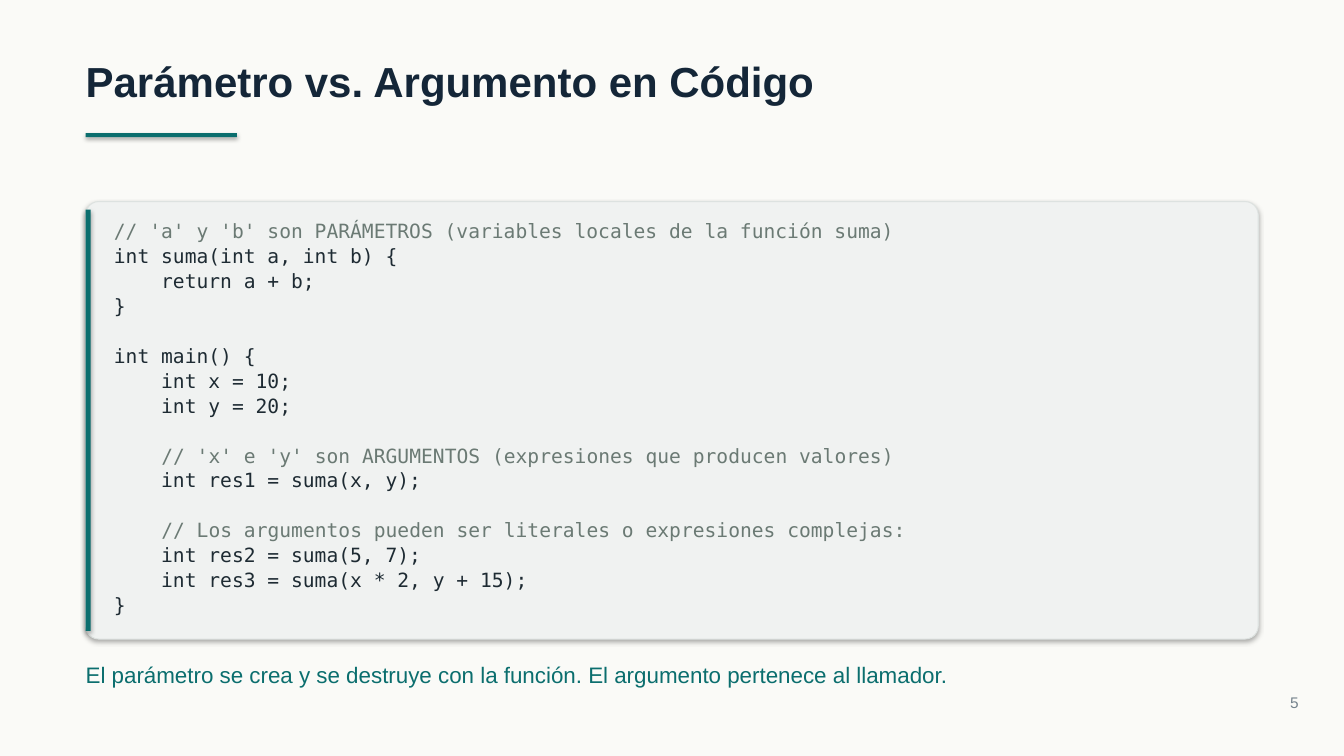
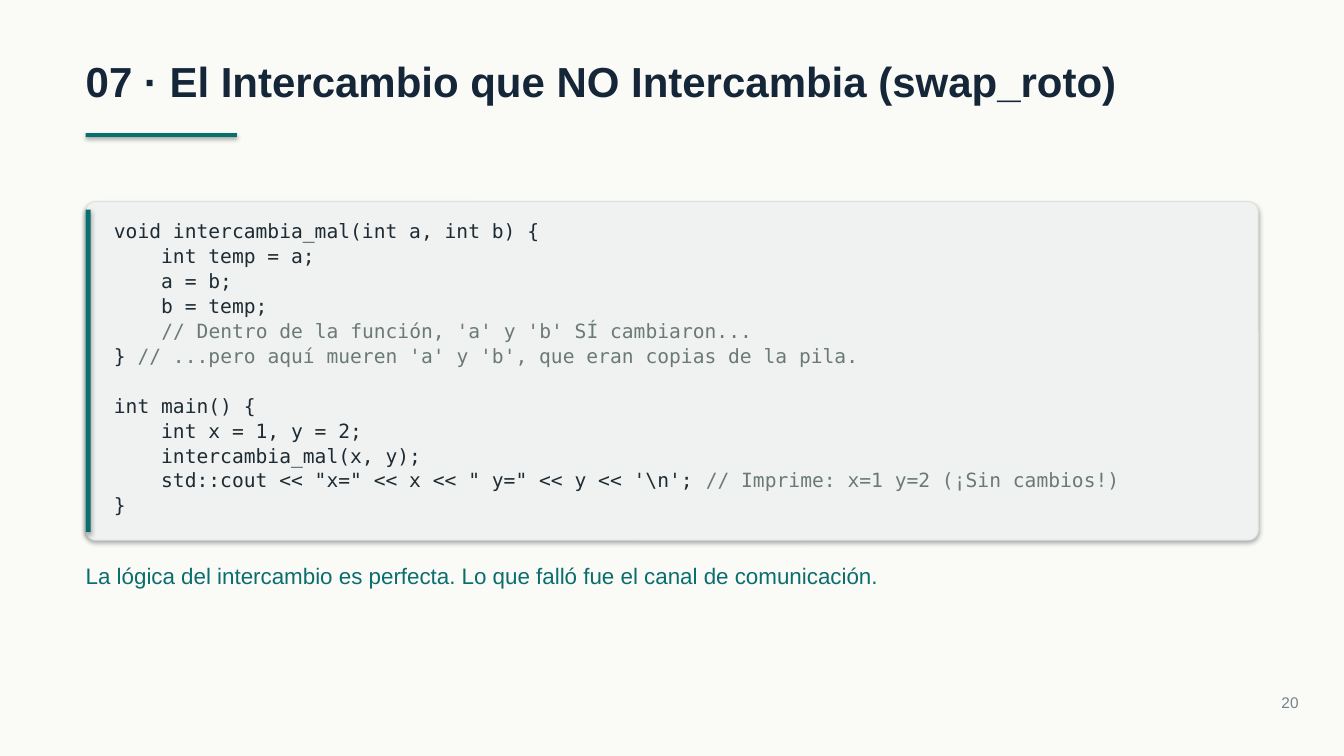
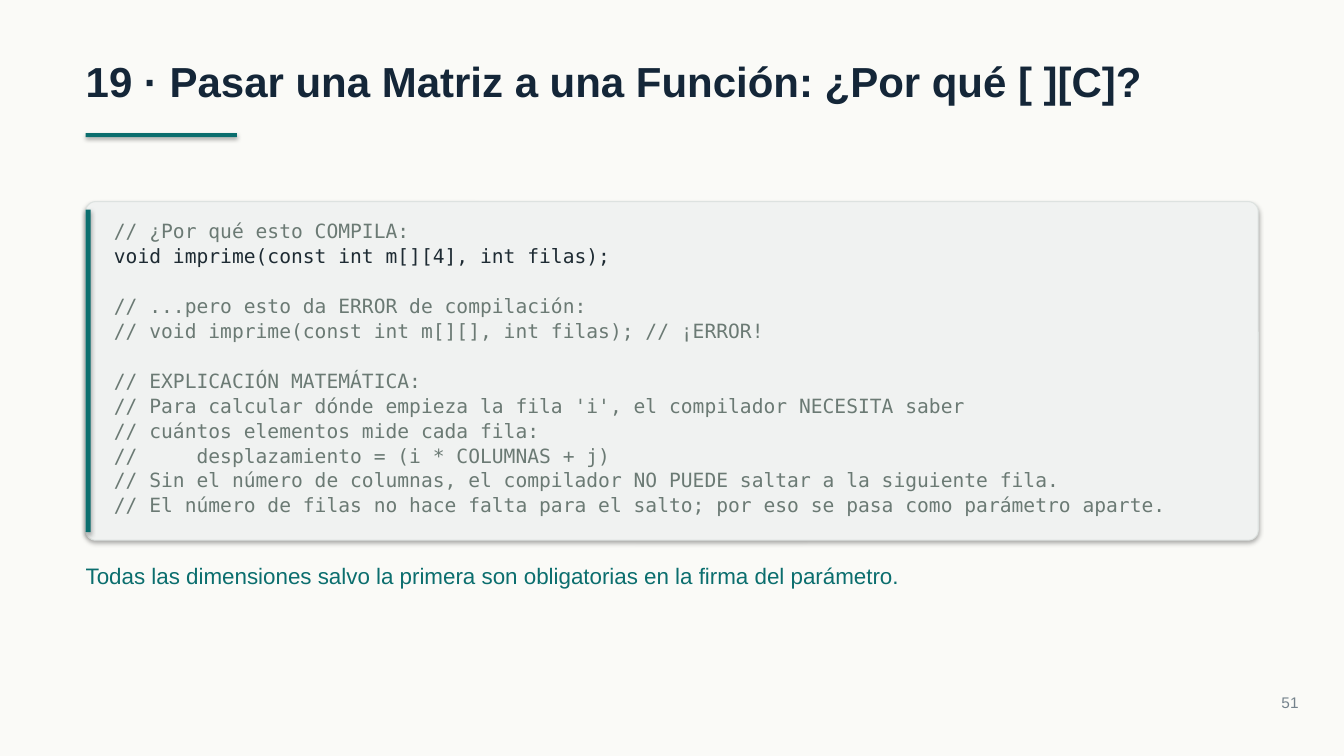
from lxml import etree
from pptx import Presentation, util as u
from pptx.dml.color import RGBColor
from pptx.enum import shapes, text as tx
from pptx.oxml.ns import qn

# Shared look
WIDE, HIGH = 13.33, 7.5
EDGE = 0.85
SPAN = WIDE - 2 * EDGE
PAPER, INK, TEAL, GREY = "FAFAF7", "142638", "0B6E6E", "74828C"
CARD, RIM, CODE, NOTE = "F0F2F1", "DDE2E0", "1E2B33", "6B7A74"
SANS, MONO = "Arial", "DejaVu Sans Mono"

# Code card: top edge, inner gap and line pitch
TOP, PAD, STEP = 2, 0.08, 0.2475
ROW, REST = 0.245, 0.42

# Content: title, page, code, closing line
PAGES = [
    ("Parámetro vs. Argumento en Código", 5, r"""
// 'a' y 'b' son PARÁMETROS (variables locales de la función suma)
int suma(int a, int b) {
    return a + b;
}

int main() {
    int x = 10;
    int y = 20;

    // 'x' e 'y' son ARGUMENTOS (expresiones que producen valores)
    int res1 = suma(x, y);

    // Los argumentos pueden ser literales o expresiones complejas:
    int res2 = suma(5, 7);
    int res3 = suma(x * 2, y + 15);
}
""", "El parámetro se crea y se destruye con la función. El argumento pertenece al llamador."),
    ("07 · El Intercambio que NO Intercambia (swap_roto)", 20, r"""
void intercambia_mal(int a, int b) {
    int temp = a;
    a = b;
    b = temp;
    // Dentro de la función, 'a' y 'b' SÍ cambiaron...
} // ...pero aquí mueren 'a' y 'b', que eran copias de la pila.

int main() {
    int x = 1, y = 2;
    intercambia_mal(x, y);
    std::cout << "x=" << x << " y=" << y << '\n'; // Imprime: x=1 y=2 (¡Sin cambios!)
}
""", "La lógica del intercambio es perfecta. Lo que falló fue el canal de comunicación."),
    ("19 · Pasar una Matriz a una Función: ¿Por qué [ ][C]?", 51, r"""
// ¿Por qué esto COMPILA:
void imprime(const int m[][4], int filas);

// ...pero esto da ERROR de compilación:
// void imprime(const int m[][], int filas); // ¡ERROR!

// EXPLICACIÓN MATEMÁTICA:
// Para calcular dónde empieza la fila 'i', el compilador NECESITA saber
// cuántos elementos mide cada fila:
//     desplazamiento = (i * COLUMNAS + j)
// Sin el número de columnas, el compilador NO PUEDE saltar a la siguiente fila.
// El número de filas no hace falta para el salto; por eso se pasa como parámetro aparte.
""", "Todas las dimensiones salvo la primera son obligatorias en la firma del parámetro."),
]


def color(hue):
    return RGBColor.from_string(hue)


def place(*box):
    return [u.Inches(n) for n in box]


def shade(shape):
    """Give a shape the soft drop shadow used throughout."""
    shape.shadow.inherit = False
    glow = etree.SubElement(shape._element.spPr.find(qn("a:effectLst")), qn("a:outerShdw"),
                            blurRad="40000", dist="23000", dir="5400000", rotWithShape="0")
    tint = etree.SubElement(glow, qn("a:srgbClr"), val="000000")
    etree.SubElement(tint, qn("a:alpha"), val="35000")


def block(slide, box, fill, line=None, round=None):
    kind = shapes.MSO_SHAPE.ROUNDED_RECTANGLE if round else shapes.MSO_SHAPE.RECTANGLE
    shape = slide.shapes.add_shape(kind, *place(*box))
    if round:
        shape.adjustments[0] = round
    shape.fill.solid()
    shape.fill.fore_color.rgb = color(fill)
    if line:
        shape.line.color.rgb = color(line)
        shape.line.width = u.Pt(0.75)
    else:
        shape.line.fill.background()
    shade(shape)


def write(slide, box, lines, size, font=SANS, bold=False, align=None, lead=None):
    """Write lines of (text, colour) runs; an empty line becomes space before the next."""
    frame = slide.shapes.add_textbox(*place(*box)).text_frame
    frame.word_wrap = True
    frame.auto_size = tx.MSO_AUTO_SIZE.SHAPE_TO_FIT_TEXT
    frame.margin_left = frame.margin_right = frame.margin_top = frame.margin_bottom = 0
    para, gap = None, 0
    for runs in lines:
        if not runs:
            gap += STEP
            continue
        para = frame.add_paragraph() if para else frame.paragraphs[0]
        if gap:
            para.space_before = u.Inches(gap)
            gap = 0
        para.alignment = align
        para.line_spacing = lead
        for words, hue in runs:
            run = para.add_run()
            run.text = words
            run.font.name, run.font.size, run.font.bold = font, u.Pt(size), bold
            run.font.color.rgb = color(hue)


def paint(line):
    """Split a code line into its code and its comment."""
    code, mark, note = line.partition("//")
    return [(part, hue) for part, hue in ((code, CODE), (mark + note, NOTE)) if part]


def frame(slide, title, page):
    write(slide, (EDGE, 0.55, SPAN, 0.5), [[(title, INK)]], 30, bold=True)
    block(slide, (EDGE, 1.32, 1.5, 0.04), TEAL)
    write(slide, (11.98, 6.88, 0.9, 0.18), [[(str(page), GREY)]], 11,
          align=tx.PP_ALIGN.RIGHT)


def card(slide, code):
    """Draw the code card and return its bottom edge."""
    lines = code.strip("\n").split("\n")
    tall = ROW * len(lines) + REST
    block(slide, (EDGE, TOP, SPAN, tall), CARD, RIM, 0.03)
    block(slide, (EDGE, TOP + PAD, 0.05, tall - 2 * PAD), TEAL)
    write(slide, (EDGE + 0.28, TOP + 2 * PAD, SPAN - 0.45, STEP * len(lines)),
          [paint(line) for line in lines], 14, font=MONO, lead=1.06)
    return TOP + tall


def main():
    deck = Presentation()
    deck.slide_width, deck.slide_height = place(WIDE, HIGH)
    back = deck.slide_master.background.fill
    back.solid()
    back.fore_color.rgb = color(PAPER)
    for title, page, code, note in PAGES:
        slide = deck.slides.add_slide(deck.slide_layouts[6])
        frame(slide, title, page)
        base = card(slide, code)
        write(slide, (EDGE, base + 0.22, SPAN, 0.27), [[(note, TEAL)]], 16)
    deck.save("out.pptx")


if __name__ == "__main__":
    main()
